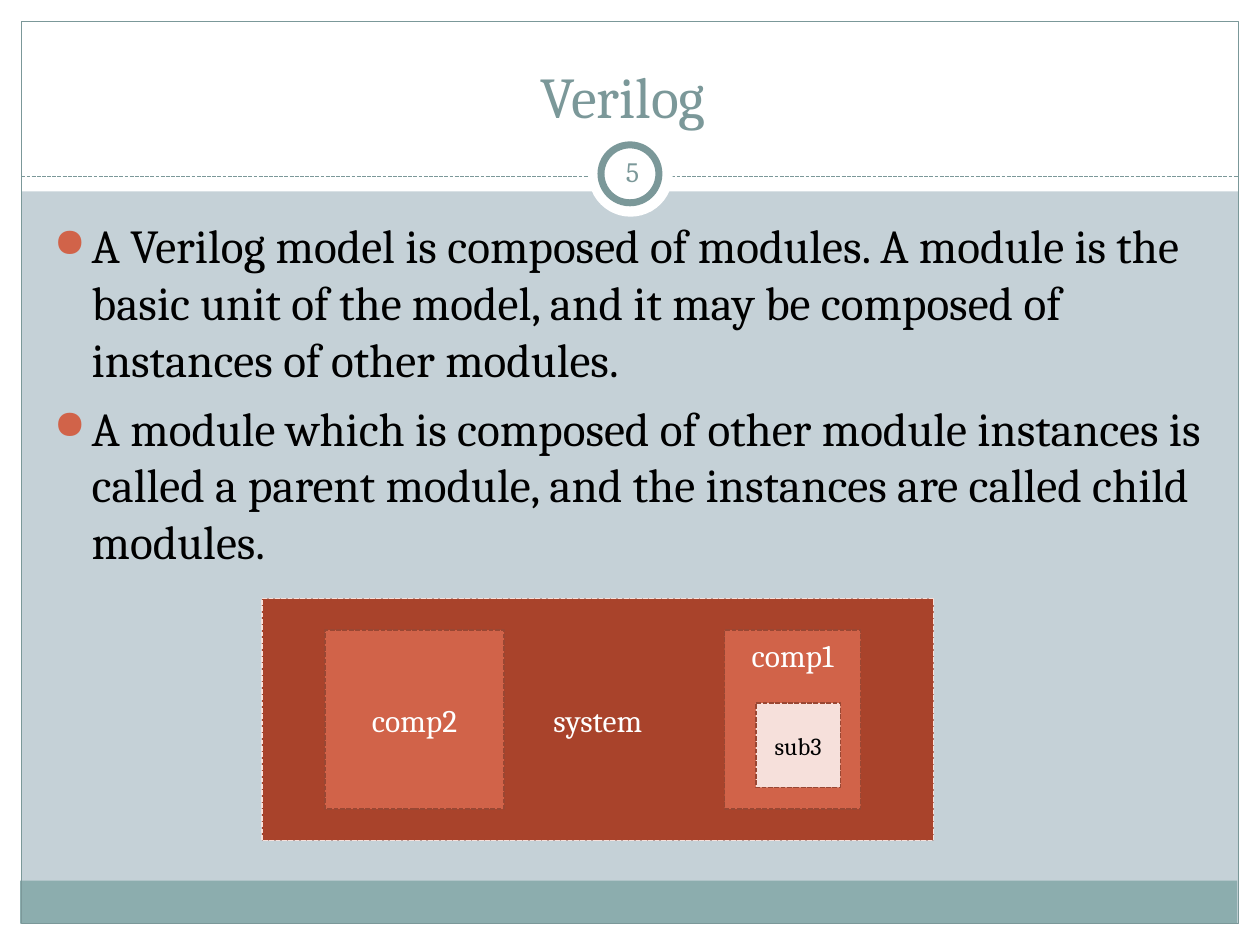
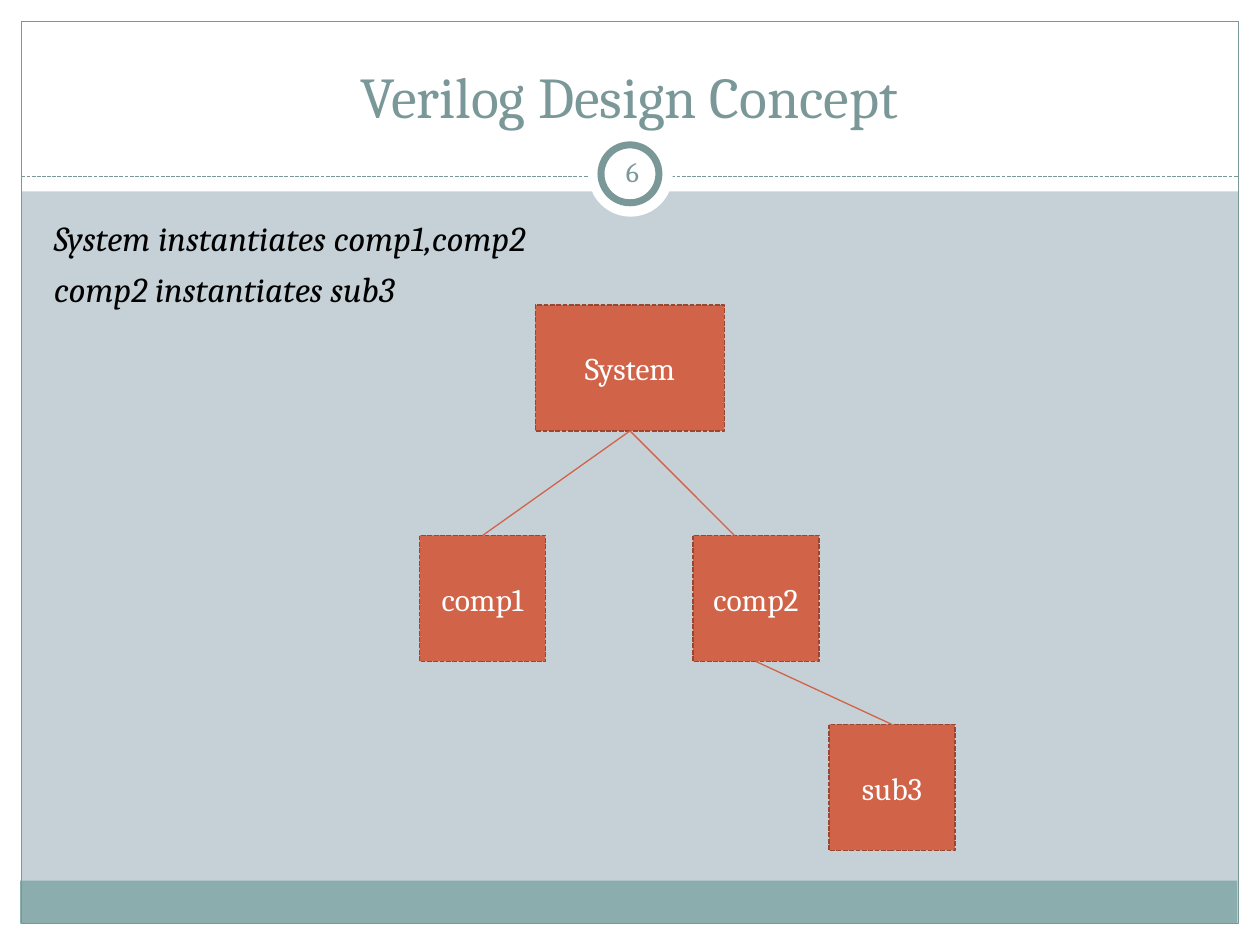
from dataclasses import dataclass
from typing import Optional

from lxml.etree import SubElement
from pptx import Presentation
from pptx.dml.color import RGBColor
from pptx.enum.dml import MSO_LINE
from pptx.enum.shapes import MSO_CONNECTOR, MSO_SHAPE
from pptx.enum.text import MSO_ANCHOR, MSO_AUTO_SIZE, PP_ALIGN
from pptx.oxml.ns import qn
from pptx.util import Inches, Pt

FONT = "Cambria"
WHITE, BLACK = "FFFFFF", "000000"
TEAL, FOOTER, BACKGROUND = "7B9899", "8CADAE", "C5D1D7"
ORANGE, BRICK, BLUSH, RUST = "D16349", "A9432B", "F6E0DB", "994733"
TOP, BOTTOM = 0, 2


@dataclass
class Figure:
    left: float
    top: float
    width: float
    height: float
    fill: Optional[str] = None
    line: Optional[str] = None
    weight: float = 0.75
    dashed: bool = False
    kind: MSO_SHAPE = MSO_SHAPE.RECTANGLE


@dataclass
class Module:
    name: str
    left: float
    top: float
    width: float = 1
    height: float = 1
    fill: str = ORANGE
    line: str = RUST
    color: str = WHITE
    size: int = 18
    anchor: MSO_ANCHOR = MSO_ANCHOR.MIDDLE


FRAME_BACK = [
    Figure(0, 7.33, 10, 0.17, WHITE),
    Figure(0, 0, 10, 1.52, WHITE),
    Figure(0, 0, 0.17, 7.5, WHITE),
    Figure(9.83, 0, 0.17, 7.5, WHITE),
    Figure(0.16, 6.99, 9.66, 0.34, FOOTER),
    Figure(0.17, 0.17, 9.66, 7.16, None, TEAL),
]
NUMBER_BADGE = [
    Figure(4.67, 1.05, 0.67, 0.67, WHITE, kind=MSO_SHAPE.OVAL),
    Figure(4.77, 1.15, 0.46, 0.46, WHITE, TEAL, 4, kind=MSO_SHAPE.OVAL),
]
NESTED_MODULES = [
    Module("system", 2.08, 4.75, 5.33, 1.92, BRICK, BLUSH),
    Module("comp2", 2.58, 5, 1.42, 1.42),
    Module("comp1", 5.75, 5, 1.08, 1.42, anchor=MSO_ANCHOR.TOP),
    Module("sub3", 6, 5.58, 0.67, 0.67, BLUSH, color=BLACK, size=14),
]
TREE_MODULES = [
    Module("System", 4.25, 2.42, 1.5),
    Module("comp1", 3.33, 4.25),
    Module("sub3", 6.58, 5.75),
    Module("comp2", 5.5, 4.25),
]


def rgb(color: str) -> RGBColor:
    return RGBColor.from_string(color)


def style_paragraph(para, size: float, color: str, align=PP_ALIGN.LEFT) -> None:
    para.alignment = align
    para.font.name = FONT
    para.font.size = Pt(size)
    para.font.color.rgb = rgb(color)


def set_text(box, text: str, size: float, color: str, anchor=MSO_ANCHOR.MIDDLE) -> None:
    frame = box.text_frame
    frame.word_wrap = True
    frame.auto_size = MSO_AUTO_SIZE.NONE
    frame.vertical_anchor = anchor
    frame.text = text
    style_paragraph(frame.paragraphs[0], size, color, PP_ALIGN.CENTER)


def draw_figure(page, figure: Figure):
    shape = page.shapes.add_shape(
        figure.kind, Inches(figure.left), Inches(figure.top),
        Inches(figure.width), Inches(figure.height))
    shape.shadow.inherit = False
    if figure.fill:
        shape.fill.solid()
        shape.fill.fore_color.rgb = rgb(figure.fill)
    else:
        shape.fill.background()
    if figure.line:
        shape.line.color.rgb = rgb(figure.line)
        shape.line.width = Pt(figure.weight)
        if figure.dashed:
            shape.line.dash_style = MSO_LINE.SQUARE_DOT
    else:
        shape.line.fill.background()
    return shape


def draw_line(page, x1: float, y1: float, x2: float, y2: float, color: str):
    line = page.shapes.add_connector(
        MSO_CONNECTOR.STRAIGHT, Inches(x1), Inches(y1), Inches(x2), Inches(y2))
    line.line.color.rgb = rgb(color)
    line.line.width = Pt(0.75)
    SubElement(line.element.spPr, qn("a:effectLst"))
    return line


def draw_modules(page, modules: list[Module]) -> dict:
    shapes = {}
    for module in modules:
        shape = draw_figure(page, Figure(
            module.left, module.top, module.width, module.height,
            module.fill, module.line, 0.91, True))
        set_text(shape, module.name, module.size, module.color, module.anchor)
        shapes[module.name] = shape
    return shapes


def add_bullet(para) -> None:
    properties = para._p.get_or_add_pPr()
    color = SubElement(properties, qn("a:buClr"))
    SubElement(color, qn("a:srgbClr"), val=ORANGE)
    SubElement(properties, qn("a:buSzPct"), val="85000")
    SubElement(properties, qn("a:buChar"), char="●")


def add_body(page, texts: list[str], size: float, before: float,
             bullets: bool = False, italic: bool = False) -> None:
    box = page.shapes.add_textbox(Inches(0.33), Inches(1.67), Inches(9.3), Inches(5))
    frame = box.text_frame
    frame.word_wrap = True
    for index, text in enumerate(texts):
        para = frame.add_paragraph() if index else frame.paragraphs[0]
        para.text = text
        style_paragraph(para, size, BLACK)
        para.font.italic = italic
        para.space_before = Pt(before)
        properties = para._p.get_or_add_pPr()
        properties.set("marL", str(Inches(0.3)))
        properties.set("indent", str(-Inches(0.3)))
        if bullets:
            add_bullet(para)


def add_page(deck, title: str, number: int):
    page = deck.slides.add_slide(deck.slide_layouts[5])
    page.background.fill.solid()
    page.background.fill.fore_color.rgb = rgb(BACKGROUND)
    for figure in FRAME_BACK:
        draw_figure(page, figure)
    rule = draw_line(page, 0.17, 1.4, 9.83, 1.4, TEAL)
    rule.line.dash_style = MSO_LINE.SQUARE_DOT
    for figure in NUMBER_BADGE:
        draw_figure(page, figure)

    heading = page.shapes.title
    heading.left, heading.top = Inches(0.33), Inches(0.25)
    heading.width, heading.height = Inches(9.33), Inches(0.83)
    set_text(heading, title, 33, TEAL, MSO_ANCHOR.BOTTOM)
    page.shapes.element.append(heading.element)

    label = page.shapes.add_textbox(Inches(4.77), Inches(1.12), Inches(0.5), Inches(0.48))
    set_text(label, str(number), 16, TEAL)
    frame = label.text_frame
    frame.margin_left = frame.margin_right = Inches(0.05)
    return page


def build_module_page(deck) -> None:
    page = add_page(deck, "Verilog ", 5)
    add_body(page, [
        "A Verilog model is composed of modules. A module is the basic unit of the "
        "model, and it may be composed of instances of other modules.",
        "A module which is composed of other module instances is called a parent "
        "module, and the instances are called child modules.",
    ], 27, 6.8, bullets=True)
    draw_modules(page, NESTED_MODULES)


def build_concept_page(deck) -> None:
    page = add_page(deck, "Verilog Design Concept", 6)
    add_body(page, ["System instantiates comp1,comp2", "comp2 instantiates sub3"],
             20, 5, italic=True)
    shapes = draw_modules(page, TREE_MODULES)

    to_comp1 = draw_line(page, 3.83, 4.25, 5, 3.42, ORANGE)
    to_comp1.begin_connect(shapes["comp1"], TOP)
    to_comp1.end_connect(shapes["System"], BOTTOM)
    to_comp2 = draw_line(page, 5, 3.42, 5.83, 4.25, ORANGE)
    to_comp2.begin_connect(shapes["System"], BOTTOM)
    to_sub3 = draw_line(page, 6, 5.25, 7.08, 5.75, ORANGE)
    to_sub3.begin_connect(shapes["comp2"], BOTTOM)
    to_sub3.end_connect(shapes["sub3"], TOP)


def main() -> None:
    deck = Presentation()
    deck.slide_width, deck.slide_height = Inches(10), Inches(7.5)
    build_module_page(deck)
    build_concept_page(deck)
    deck.save("out.pptx")


if __name__ == "__main__":
    main()
